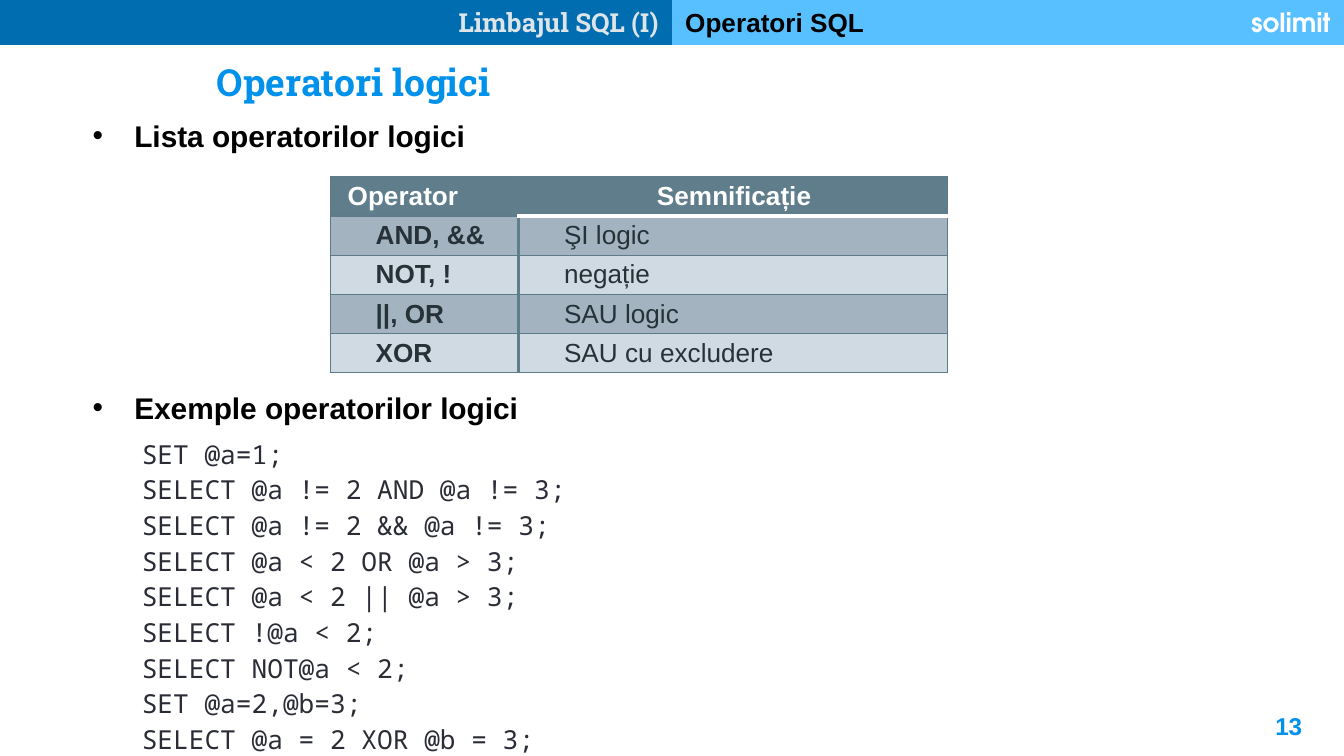
from lxml.etree import SubElement
from pptx import Presentation
from pptx.dml.color import RGBColor
from pptx.enum.shapes import MSO_SHAPE
from pptx.enum.text import MSO_ANCHOR, MSO_AUTO_SIZE, PP_ALIGN
from pptx.oxml.ns import qn
from pptx.util import Cm, Pt

BLUE = RGBColor(0x00, 0x91, 0xEA)
NAVY = RGBColor(0x00, 0x6D, 0xB0)
SKY = RGBColor(0x59, 0xC0, 0xFF)
PALE = RGBColor(0xDE, 0xE5, 0xE9)
WHITE = RGBColor(0xFF, 0xFF, 0xFF)
BLACK = RGBColor(0x00, 0x00, 0x00)
INK = RGBColor(0x26, 0x32, 0x38)
CODE_INK = RGBColor(0x2A, 0x2C, 0x36)
SLATE = RGBColor(0x60, 0x7D, 0x8B)
EDGE = RGBColor(0x5D, 0x7B, 0x89)
DARK = RGBColor(0xA3, 0xB4, 0xC0)
LIGHT = RGBColor(0xCF, 0xDA, 0xE3)

BANDS = [
    (12.7, 12.7, SKY, "Operatori SQL", "Arial", BLACK, PP_ALIGN.LEFT),
    (22.91, 2.49, SKY, "solimit", "TeX Gyre Adventor", WHITE, PP_ALIGN.RIGHT),
    (0, 12.7, NAVY, "Limbajul SQL (I)", "Roboto Slab", PALE, PP_ALIGN.RIGHT),
]
POINTS = [(2.09, "Lista operatorilor logici"), (7.22, "Exemple operatorilor logici")]
ROWS = [
    ("Operator", "Semnificație"),
    ("AND, &&", "ŞI logic"),
    ("NOT, !", "negație"),
    ("||, OR", "SAU logic"),
    ("XOR", "SAU cu excludere"),
]
CODE = [
    "SET @a=1;",
    "SELECT @a != 2 AND @a != 3;",
    "SELECT @a != 2 && @a != 3;",
    "SELECT @a < 2 OR @a > 3;",
    "SELECT @a < 2 || @a > 3;",
    "SELECT !@a < 2;",
    "SELECT NOT@a < 2;",
    "SET @a=2,@b=3;",
    "SELECT @a = 2 XOR @b = 3;",
]


def style(item, values):
    for name, value in values.items():
        setattr(item, name, value)


def write(frame, lines, size, face, color, bold=True, align=PP_ALIGN.LEFT):
    for index, line in enumerate(lines):
        para = frame.add_paragraph() if index else frame.paragraphs[0]
        para.alignment = align
        run = para.add_run()
        run.text = line
        style(run.font, {"size": Pt(size), "name": face, "bold": bold})
        run.font.color.rgb = color


def add_title(slide, text):
    title = slide.shapes.title
    style(title, {"left": Cm(3.84), "top": Cm(0.99), "width": Cm(5.77), "height": Cm(1.12)})
    style(title.text_frame, {"word_wrap": False, "auto_size": MSO_AUTO_SIZE.NONE,
                             "vertical_anchor": MSO_ANCHOR.MIDDLE})
    write(title.text_frame, [text], 20, "Roboto Slab", BLUE)


def add_band(slide, left, width, fill, text, face, color, align):
    band = slide.shapes.add_shape(MSO_SHAPE.RECTANGLE, Cm(left), 0, Cm(width), Cm(0.85))
    band.shadow.inherit = False
    band.fill.solid()
    band.fill.fore_color.rgb = fill
    band.line.fill.background()
    write(band.text_frame, [text], 14, face, color, align=align)


def add_text(slide, left, top, width, height, text, size, color, align=PP_ALIGN.LEFT):
    box = slide.shapes.add_textbox(Cm(left), Cm(top), Cm(width), Cm(height))
    style(box.text_frame, {"word_wrap": True, "vertical_anchor": MSO_ANCHOR.MIDDLE})
    write(box.text_frame, [text], size, "Arial", color, align=align)
    return box


def add_point(slide, top, text):
    box = add_text(slide, 1.5, top, 13.41, 0.94, text, 16, BLACK)
    props = box.text_frame.paragraphs[0]._p.get_or_add_pPr()
    props.set("marL", str(Cm(0.79)))
    props.set("indent", str(-Cm(0.79)))
    SubElement(props, qn("a:buFont"), typeface="Arial")
    SubElement(props, qn("a:buChar"), char="•")


def add_edge(cell, side, color, width):
    line = SubElement(cell._tc.get_or_add_tcPr(), qn(f"a:ln{side}"), w=str(Pt(width)))
    fill = SubElement(line, qn("a:solidFill"))
    SubElement(fill, qn("a:srgbClr"), val=str(color))


def add_grid(slide, left, top, widths, height, count):
    frame = slide.shapes.add_table(count, len(widths), Cm(left), Cm(top),
                                   Cm(sum(widths)), Cm(height * count))
    table = frame.table
    style(table, {"first_row": False, "horz_banding": False})
    for column, width in zip(table.columns, widths):
        column.width = Cm(width)
    for row in table.rows:
        row.height = Cm(height)
    for cell in table.iter_cells():
        style(cell, {"margin_left": Cm(0.1), "margin_right": Cm(0.05),
                     "margin_top": Cm(0.05), "margin_bottom": Cm(0.05),
                     "vertical_anchor": MSO_ANCHOR.MIDDLE})
    return table


def fill_cell(cell, text, row, col):
    head = row == 0
    thin = (EDGE, 0.75)
    thick = (SLATE, 2)
    rule = (WHITE, 2) if col else thin
    edges = {"L": thick if col else thin, "R": thin if col else thick,
             "T": rule if row == 1 else thin, "B": rule if head else thin}
    for side, (color, width) in edges.items():
        add_edge(cell, side, color, width)
    cell.fill.solid()
    cell.fill.fore_color.rgb = SLATE if head else (DARK if row % 2 else LIGHT)
    center = head and col
    write(cell.text_frame, [text], 14, "Arial", WHITE if head else INK,
          head or col == 0, PP_ALIGN.CENTER if center else PP_ALIGN.LEFT)
    inset = 0 if center else 0.23 if head else 0.76
    cell.text_frame.paragraphs[0]._p.get_or_add_pPr().set("indent", str(Cm(inset)))


def add_terms(slide):
    table = add_grid(slide, 6.24, 3.34, [3.56, 8.1], 0.74, len(ROWS))
    for row, texts in enumerate(ROWS):
        for col, text in enumerate(texts):
            fill_cell(table.cell(row, col), text, row, col)


def add_code(slide):
    cell = add_grid(slide, 2.58, 8.19, [19.46], 5.44, 1).cell(0, 0)
    cell.fill.background()
    write(cell.text_frame, CODE, 14, "Noto Sans Mono", CODE_INK, False)


def main():
    deck = Presentation()
    style(deck, {"slide_width": Cm(25.4), "slide_height": Cm(14.28)})
    slide = deck.slides.add_slide(deck.slide_layouts[5])
    add_text(slide, 23.34, 13.17, 1.52, 1.09, "13", 13, BLUE, PP_ALIGN.RIGHT)
    add_title(slide, "Operatori logici")
    add_terms(slide)
    for point in POINTS:
        add_point(slide, *point)
    add_code(slide)
    for band in BANDS:
        add_band(slide, *band)
    deck.save("out.pptx")


if __name__ == "__main__":
    main()
